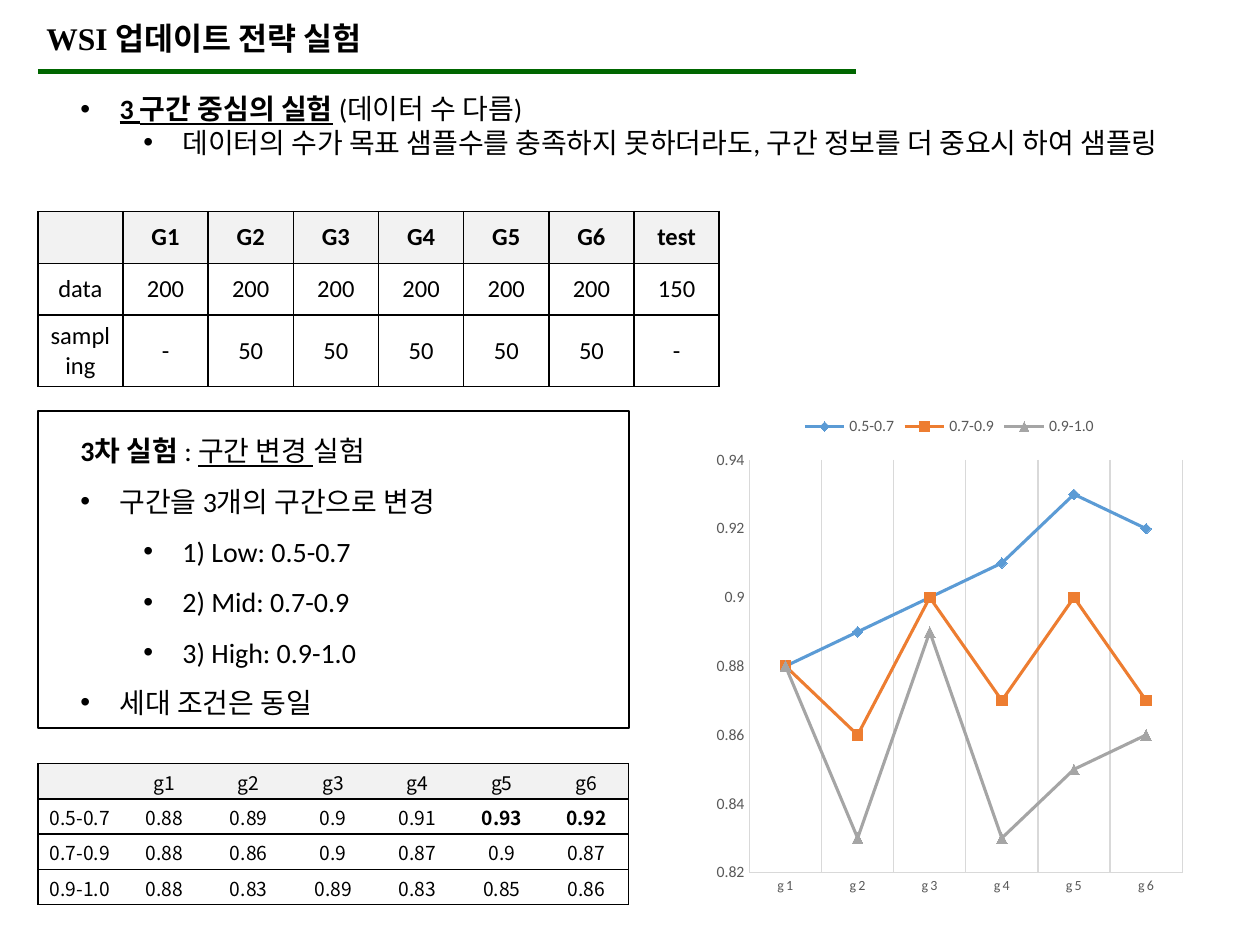
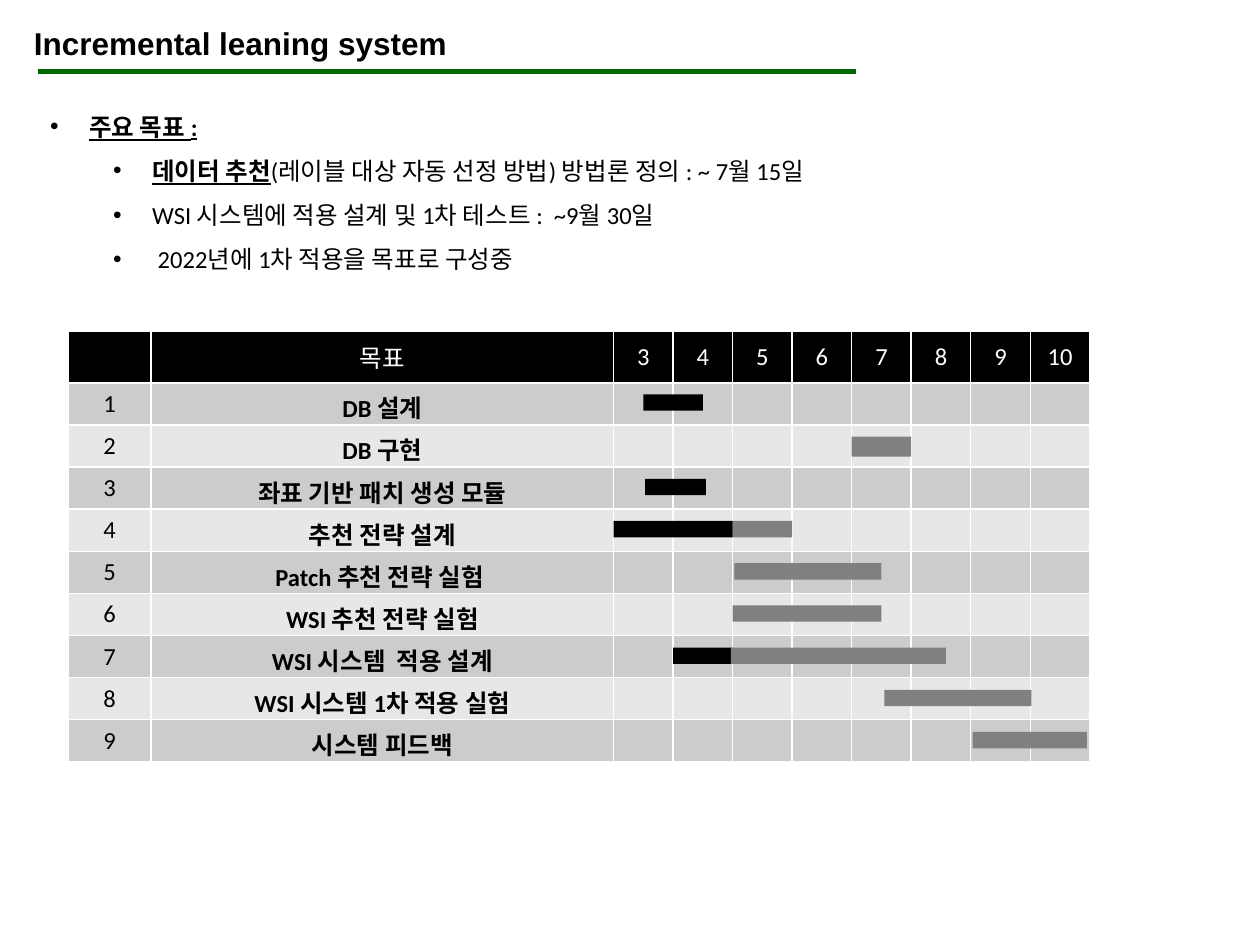
from lxml import etree
from pptx import Presentation
from pptx import util as u
from pptx.chart.data import CategoryChartData
from pptx.dml.color import RGBColor
from pptx.enum import chart as ch, shapes, text
from pptx.oxml import ns

BLACK = RGBColor(0x00, 0x00, 0x00)
WHITE = RGBColor(0xFF, 0xFF, 0xFF)
GREEN = RGBColor(0x00, 0x66, 0x00)
DONE = BLACK
PLANNED = RGBColor(0x80, 0x80, 0x80)
HEAD_GRAY = RGBColor(0xF2, 0xF2, 0xF2)
BANDS = RGBColor(0xCC, 0xCC, 0xCC), RGBColor(0xE7, 0xE7, 0xE7)
AXIS_GRAY = RGBColor(0xD9, 0xD9, 0xD9)
LABEL_GRAY = RGBColor(0x59, 0x59, 0x59)
SERIES_COLORS = RGBColor(0x5B, 0x9B, 0xD5), RGBColor(0xED, 0x7D, 0x31), RGBColor(0xA5, 0xA5, 0xA5)
MARKERS = ch.XL_MARKER_STYLE.DIAMOND, ch.XL_MARKER_STYLE.SQUARE, ch.XL_MARKER_STYLE.TRIANGLE
KOREAN_FONT = "Noto Sans CJK KR"
BODY_FONT = "Calibri"


def sub(parent, tag, **attrs):
    return etree.SubElement(parent, ns.qn(tag), attrs)


def add_run(p, words, size=14, font=BODY_FONT, color=BLACK, bold=False, underline=False):
    r = p.add_run()
    r.text = words
    f = r.font
    f.size, f.name, f.bold, f.underline = u.Pt(size), font, bold, underline
    f.color.rgb = color
    sub(r._r.get_or_add_rPr(), "a:ea", typeface=KOREAN_FONT)


def set_bullet(p, level):
    pPr = p._p.get_or_add_pPr()
    pPr.set("marL", str(u.Inches(0.31 + 0.5 * level)))
    pPr.set("indent", str(u.Inches(-0.31)))
    sub(pPr, "a:buFont", typeface="Arial")
    sub(pPr, "a:buChar", char="•")


def set_borders(cell, left, right, top, bottom):
    """Draw each edge in the given colour at 1 pt, or not at all for None."""
    tcPr = cell._tc.get_or_add_tcPr()
    edges = zip(("a:lnL", "a:lnR", "a:lnT", "a:lnB"), (left, right, top, bottom))
    for i, (tag, color) in enumerate(edges):
        ln = etree.Element(ns.qn(tag), w=str(u.Pt(1)))
        if color is None:
            sub(ln, "a:noFill")
        else:
            sub(sub(ln, "a:solidFill"), "a:srgbClr", val=str(color))
        tcPr.insert(i, ln)


class Deck:
    def __init__(self):
        self.prs = Presentation()
        self.prs.slide_width, self.prs.slide_height = u.Inches(10), u.Inches(7.5)
        self.s = None

    def slide(self, title, left, top, font):
        """Start a slide with its title and the green rule below it."""
        self.s = self.prs.slides.add_slide(self.prs.slide_layouts[6])
        rule = self.s.shapes.add_connector(
            shapes.MSO_CONNECTOR.STRAIGHT,
            u.Inches(0.3), u.Inches(0.57), u.Inches(6.79), u.Inches(0.57))
        rule.line.color.rgb = GREEN
        rule.line.width = u.Pt(3)
        sub(rule._element.spPr, "a:effectLst")
        self.text((left, top, 5.18, 0.4), [(None, [(title, dict(bold=True))])], size=18, font=font)

    def text(self, box, paragraphs, spacing=None, **style):
        """Each paragraph is (bullet level or None, [(words, run format)])."""
        tf = self.s.shapes.add_textbox(*map(u.Inches, box)).text_frame
        tf.word_wrap = True
        tf.auto_size = text.MSO_AUTO_SIZE.SHAPE_TO_FIT_TEXT
        for i, (level, runs) in enumerate(paragraphs):
            p = tf.add_paragraph() if i else tf.paragraphs[0]
            if spacing:
                p.line_spacing = spacing
            if level is not None:
                p.level = level
                set_bullet(p, level)
            for words, changes in runs:
                add_run(p, words, **{**style, **changes})

    def rect(self, box, fill=None, line=None):
        sp = self.s.shapes.add_shape(shapes.MSO_SHAPE.RECTANGLE, *map(u.Inches, box))
        sp.shadow.inherit = False
        if fill is None:
            sp.fill.background()
        else:
            sp.fill.solid()
            sp.fill.fore_color.rgb = fill
        if line is None:
            sp.line.fill.background()
        else:
            sp.line.color.rgb = line
            sp.line.width = u.Pt(1)

    def table(self, left, top, widths, heights, rows, fills, border,
              inner_columns=True, tight=False, style=lambda row, col: {}):
        """fills has one colour a row; style(row, col) gives a cell's text format."""
        frame = self.s.shapes.add_table(
            len(rows), len(widths), u.Inches(left), u.Inches(top),
            u.Inches(sum(widths)), u.Inches(sum(heights)))
        tbl = frame.table
        for column, width in zip(tbl.columns, widths):
            column.width = u.Inches(width)
        for i, (values, height, fill) in enumerate(zip(rows, heights, fills)):
            tbl.rows[i].height = u.Inches(height)
            for j, value in enumerate(values):
                cell = tbl.cell(i, j)
                cell.fill.solid()
                cell.fill.fore_color.rgb = fill
                cell.vertical_anchor = text.MSO_ANCHOR.MIDDLE
                if tight:
                    cell.margin_left = cell.margin_right = cell.margin_top = u.Inches(0.01)
                    cell.margin_bottom = 0
                p = cell.text_frame.paragraphs[0]
                p.alignment = text.PP_ALIGN.CENTER
                if value:
                    add_run(p, value, **style(i, j))
                else:
                    sub(p._p, "a:endParaRPr", sz="1000")
                set_borders(cell,
                            border if inner_columns or j == 0 else None,
                            border if inner_columns or j == len(values) - 1 else None,
                            border, border)

    def line_chart(self, box, categories, series):
        data = CategoryChartData()
        data.categories = categories
        for name, values in series.items():
            data.add_series(name, values)
        chart = self.s.shapes.add_chart(
            ch.XL_CHART_TYPE.LINE_MARKERS, *map(u.Inches, box), data).chart
        chart.has_title = False
        chart.font.name, chart.font.size = BODY_FONT, u.Pt(10)
        chart.has_legend = True
        chart.legend.position = ch.XL_LEGEND_POSITION.TOP
        chart.legend.include_in_layout = False
        cat, val = chart.category_axis, chart.value_axis
        fonts = (chart.legend.font, 9), (cat.tick_labels.font, 8), (val.tick_labels.font, 9)
        for font, size in fonts:
            font.name, font.size = BODY_FONT, u.Pt(size)
            font.color.rgb = LABEL_GRAY
        chart._chartSpace.xpath(".//c:catAx//a:defRPr")[0].set("spc", "120")
        cat.has_major_gridlines, val.has_major_gridlines = True, False
        for line in (cat.format.line, val.format.line, cat.major_gridlines.format.line):
            line.color.rgb = AXIS_GRAY
            line.width = u.Pt(0.75)
        for axis in (cat, val):
            axis.major_tick_mark = axis.minor_tick_mark = ch.XL_TICK_MARK.NONE
        val.minimum_scale, val.maximum_scale, val.major_unit = 0.82, 0.94, 0.02
        val.tick_labels.number_format = "General"
        val.tick_labels.number_format_is_linked = False
        plot = chart.plots[0]
        plot.vary_by_categories = False
        for ser, color, marker in zip(plot.series, SERIES_COLORS, MARKERS):
            ser.smooth = False
            ser.format.line.color.rgb = color
            ser.format.line.width = u.Pt(1.75)
            ser.marker.style, ser.marker.size = marker, 6
            ser.marker.format.fill.solid()
            ser.marker.format.fill.fore_color.rgb = color
            ser.marker.format.line.color.rgb = color


def experiment_slide(deck):
    deck.slide("WSI 업데이트 전략 실험", 0.27, 0.1, "Times New Roman")
    deck.text((0.54, 0.68, 8.88, 1.18), [
        (0, [("3 구간 중심의 실험", dict(bold=True, underline=True)), (" (데이터 수 다름)", {})]),
        (1, [("데이터의 수가 목표 샘플수를 충족하지 못하더라도, 구간 정보를 더 중요시 하여 샘플링", {})]),
    ], size=16)

    samples = [["", *(f"G{n}" for n in range(1, 7)), "test"],
               ["data", *["200"] * 6, "150"],
               ["sampling", "-", *["50"] * 5, "-"]]
    deck.table(0.3, 1.68, [5.41 / 8] * 8, [0.41, 0.41, 0.56], samples,
               [HEAD_GRAY, WHITE, WHITE], BLACK,
               style=lambda row, col: dict(bold=row == 0))

    deck.rect((0.3, 3.26, 4.69, 2.52), line=BLACK)
    deck.text((0.54, 3.26, 3.73, 2.52), [
        (None, [("3차 실험 ", dict(bold=True)), (": ", {}),
                ("구간 변경 ", dict(underline=True)), ("실험", {})]),
        (0, [("구간을 3개의 구간으로 변경", {})]),
        (1, [("1) Low: 0.5-0.7", {})]),
        (1, [("2) Mid: 0.7-0.9", {})]),
        (1, [("3) High: 0.9-1.0", {})]),
        (0, [("세대 조건은 동일", {})]),
    ], spacing=1.5, size=16)

    generations = [f"g{n}" for n in range(1, 7)]
    scores = {"0.5-0.7": (0.88, 0.89, 0.9, 0.91, 0.93, 0.92),
              "0.7-0.9": (0.88, 0.86, 0.9, 0.87, 0.9, 0.87),
              "0.9-1.0": (0.88, 0.83, 0.89, 0.83, 0.85, 0.86)}
    rows = [["", *generations]] + [[name, *map(str, values)] for name, values in scores.items()]
    deck.table(0.3, 6.06, [0.67] * 7, [0.28] * 4, rows, [HEAD_GRAY] + [WHITE] * 3, BLACK,
               inner_columns=False, tight=True,
               style=lambda row, col: dict(size=11, font=KOREAN_FONT, bold=row == 1 and col >= 5))
    deck.line_chart((5.61, 3.2, 3.85, 3.98), generations, scores)


def schedule_slide(deck):
    deck.slide("Incremental leaning system", 0.17, 0.14, "Arial")
    strong = dict(bold=True, underline=True)
    deck.text((0.3, 0.72, 8.6, 1.51), [
        (0, [("주요 목표 :", strong)]),
        (1, [("데이터 추천", strong), ("(레이블 대상 자동 선정 방법) 방법론 정의 : ~ 7월 15일", {})]),
        (1, [("WSI 시스템에 적용 설계 및 1차 테스트 :  ~9월 30일", {})]),
        (1, [(" 2022년에 1차 적용을 목표로 구성중", {})]),
    ], spacing=1.5, size=14)

    goals = ["DB 설계", "DB 구현", "좌표 기반 패치 생성 모듈", "추천 전략 설계",
             "Patch 추천 전략 실험 ", "WSI 추천 전략 실험", "WSI 시스템  적용 설계",
             "WSI 시스템 1차 적용 실험", "시스템 피드백"]
    months = range(3, 11)
    left, number_width, goal_width, month_width = 0.54, 0.66, 3.67, 3.78 / 8
    rows = [["", "목표", *map(str, months)]]
    rows += [[str(n), goal, *[""] * len(months)] for n, goal in enumerate(goals, 1)]
    deck.table(left, 2.63, [number_width, goal_width] + [month_width] * len(months),
               [0.41] + [3 / 9] * len(goals), rows,
               [BLACK] + [BANDS[n % 2] for n in range(len(goals))], WHITE,
               style=lambda row, col: dict(color=BLACK if row else WHITE,
                                           bold=row > 0 and col == 1))

    # Goal number, start month, end month, state
    bars = [(1, 3.5, 4.5, DONE), (2, 7, 8, PLANNED), (3, 3.53, 4.55, DONE),
            (4, 5, 6, PLANNED), (4, 3, 5, DONE), (5, 5.03, 7.5, PLANNED),
            (6, 5, 7.5, PLANNED), (7, 4, 5, DONE), (7, 4.97, 8.58, PLANNED),
            (8, 7.55, 10.02, PLANNED), (9, 9.03, 10.95, PLANNED)]
    first_month = left + number_width + goal_width
    for goal, start, end, color in bars:
        deck.rect((first_month + (start - months[0]) * month_width, 3.13 + (goal - 1) * 0.335,
                   (end - start) * month_width, 0.16 if goal == 2 else 0.13), fill=color)


def main():
    deck = Deck()
    experiment_slide(deck)
    schedule_slide(deck)
    deck.prs.save("out.pptx")


if __name__ == "__main__":
    main()
